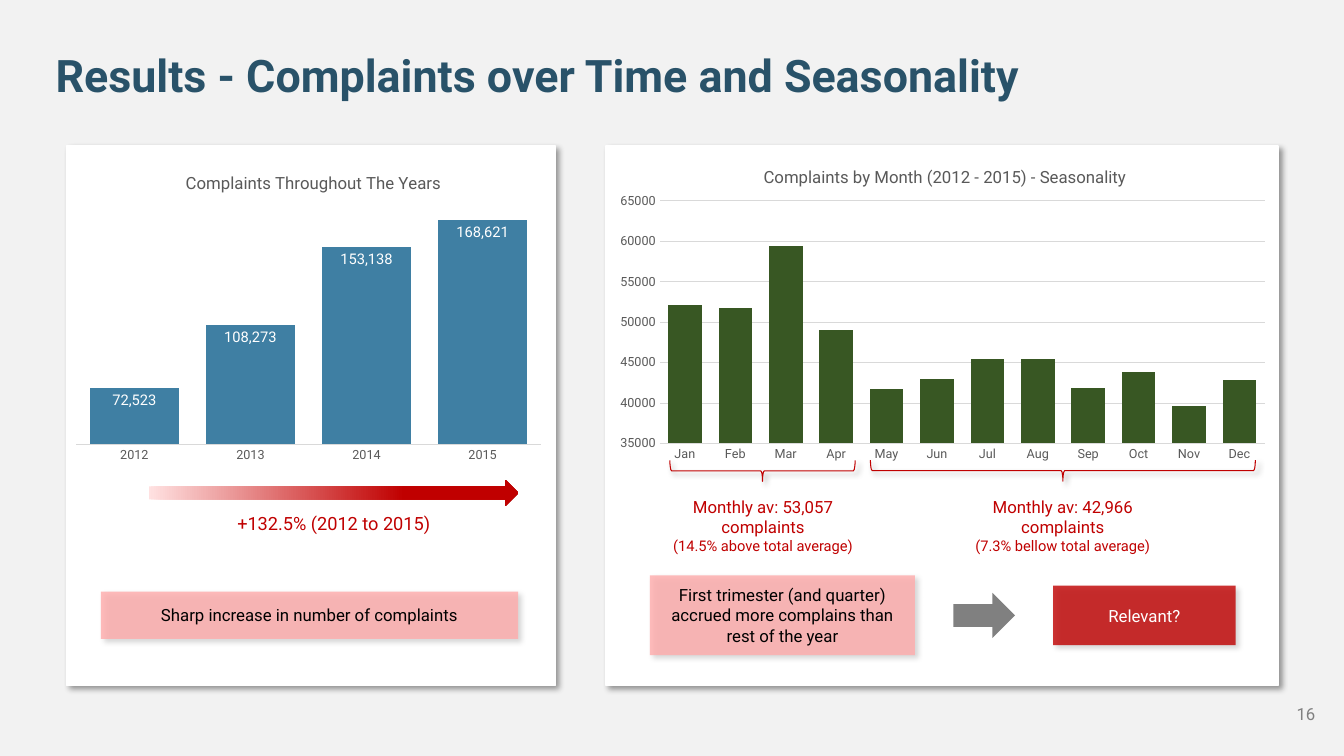
from lxml import etree
from pptx import Presentation
from pptx import util as u
from pptx.chart import data
from pptx.dml.color import RGBColor
from pptx.enum import chart as ch, shapes, text
from pptx.oxml import parse_xml
from pptx.oxml.ns import nsdecls, qn

FONT = "Roboto"
INK = {"page": "F2F2F2", "white": "FFFFFF", "black": "000000", "title": "295269",
       "blue": "3F7FA3", "green": "385723", "red": "C00000", "pink": "FFABAB",
       "pale": "FFE1E1", "gray": "808080", "axis": "595959", "grid": "D9D9D9"}
PANELS = [(15.27, 3.68, 16.94, 13.59), (1.68, 3.68, 12.32, 13.59)]
YEARS = {"title": "Complaints Throughout The Years", "at": (1.68, 3.84, 12.19, 8),
         "plot": (0.02, 0.15, 0.96, 0.77), "top": (0.24, 0.05),
         "low": 40000, "high": 180000, "gap": 30,
         "color": "blue", "labels": True,
         "vals": {"2012": 72523, "2013": 108273, "2014": 153138, "2015": 168621}}
MONTHS = {"title": "Complaints by Month (2012 - 2015) - Seasonality",
          "at": (15.27, 3.68, 16.94, 8.15),
          "plot": (0.08, 0.17, 0.9, 0.75), "top": (0.23, 0.05),
          "low": 35000, "high": 65000, "gap": 50,
          "color": "green", "labels": False,
          "vals": {"Jan": 52100, "Feb": 51700, "Mar": 59400, "Apr": 49000,
                   "May": 41700, "Jun": 43000, "Jul": 45400, "Aug": 45400,
                   "Sep": 41900, "Oct": 43800, "Nov": 39600, "Dec": 42900}}
TITLE = ("Results - Complaints over Time and Seasonality", 32)
NOTES = [((16.59, 12.34, 5.28, 1.83), (0.33, 0.18),
          [("Monthly av: 53,057 complaints", 12), ("(14.5% above total average)", 10.5)]),
         ((22.05, 12.34, 9.47, 1.83), (0.33, 0.18),
          [("Monthly av: 42,966", 12), ("complaints", 12),
           ("(7.3% bellow total average)", 10.5)]),
         ((3.76, 12.78, 9.3, 0.81), (0.25, 0.13), [("+132.5% (2012 to 2015)", 13)])]
BRACES = [(18.95, 9.53, 0.53, 4.67), (26.52, 7.01, 0.53, 9.7)]
BOXES = [((2.54, 14.91, 10.52, 1.19), "pink", "black", "Sharp increase in number of complaints"),
         ((16.38, 14.5, 6.68, 2.01), "pink", "black",
          "First trimester (and quarter) accrued more complains than rest of the year"),
         ((26.54, 14.76, 4.6, 1.5), "red", "white", "Relevant?")]
KIND = shapes.MSO_SHAPE
ALIGN = text.PP_ALIGN
ANCHOR = text.MSO_ANCHOR


def rgb(name):
    return RGBColor.from_string(INK[name])


def place(at):
    return [u.Cm(v) for v in at]


def paint(fill, name):
    fill.solid()
    fill.fore_color.rgb = rgb(name)


def style(font, size, name):
    font.name = FONT
    font.size = u.Pt(size)
    font.color.rgb = rgb(name)


def write(shape, lines, name, align=ALIGN.CENTER, anchor=ANCHOR.TOP, pad=(0.25, 0.13), bold=False):
    frame = shape.text_frame
    frame.word_wrap = True
    frame.vertical_anchor = anchor
    frame.margin_left = frame.margin_right = u.Cm(pad[0])
    frame.margin_top = frame.margin_bottom = u.Cm(pad[1])
    frame.text = "\n".join(line for line, size in lines)
    for para, (line, size) in zip(frame.paragraphs, lines):
        para.alignment = align
        style(para.runs[0].font, size, name)
        para.runs[0].font.bold = bold


def label(at, *args, **more):
    write(slide.shapes.add_textbox(*place(at)), *args, **more)


def draw(kind, at, fill=None, line=None, width=1, shade=0):
    shape = slide.shapes.add_shape(kind, *place(at))
    shape.shadow.inherit = False
    if fill:
        paint(shape.fill, fill)
    else:
        shape.fill.background()
    if line:
        shape.line.color.rgb = rgb(line)
        shape.line.width = u.Pt(width)
    else:
        shape.line.fill.background()
    if shade:
        glow = shape.element.spPr.find(qn("a:effectLst"))
        glow.append(parse_xml(
            f'<a:outerShdw {nsdecls("a")} blurRad="{u.Pt(4)}" dist="{u.Pt(3)}" dir="2700000" '
            f'algn="tl" rotWithShape="0"><a:srgbClr val="{INK["black"]}">'
            f'<a:alpha val="{shade * 1000}"/></a:srgbClr></a:outerShdw>'))
    return shape


def layout(parent, box, inner):
    old = parent.find(qn("c:layout"))
    if old is not None:
        parent.remove(old)
    rows = [("layoutTarget", "inner")] if inner else []
    rows += [("xMode", "edge"), ("yMode", "edge")] + list(zip("xywh", box))
    body = "".join(f'<c:{tag} val="{val}"/>' for tag, val in rows)
    node = parse_xml(f'<c:layout {nsdecls("c")}><c:manualLayout>{body}</c:manualLayout></c:layout>')
    if inner:
        parent.insert(0, node)
    else:
        parent.find(qn("c:tx")).addnext(node)


def plot(info):
    facts = data.CategoryChartData(number_format="#,##0" if info["labels"] else "General")
    facts.categories = list(info["vals"])
    facts.add_series("Complaints", list(info["vals"].values()))
    chart = slide.shapes.add_chart(ch.XL_CHART_TYPE.COLUMN_CLUSTERED, *place(info["at"]), facts).chart
    style(chart.font, 10, "black")
    chart.has_legend = False
    chart.has_title = True
    head = chart.chart_title.text_frame
    head.text = info["title"]
    style(head.paragraphs[0].runs[0].font, 12, "axis")
    head.paragraphs[0].runs[0].font.bold = False
    chart.chart_title.include_in_layout = False
    layout(chart.chart_title.element, info["top"], False)
    bars = chart.plots[0]
    bars.vary_by_categories = False
    bars.gap_width, bars.overlap = info["gap"], -27
    paint(bars.series[0].format.fill, info["color"])
    cats, vals = chart.category_axis, chart.value_axis
    for axis in (cats, vals):
        axis.major_tick_mark = axis.minor_tick_mark = ch.XL_TICK_MARK.NONE
        style(axis.tick_labels.font, 9, "axis")
    cats.format.line.color.rgb = rgb("grid")
    cats.format.line.width = u.Pt(0.75)
    vals.minimum_scale, vals.maximum_scale = info["low"], info["high"]
    vals.format.line.fill.background()
    if info["labels"]:
        vals.visible = vals.has_major_gridlines = False
        bars.has_data_labels = True
        tags = bars.data_labels
        tags.show_value = True
        tags.number_format, tags.number_format_is_linked = "#,##0", False
        tags.position = ch.XL_LABEL_POSITION.INSIDE_END
        style(tags.font, 10.5, "white")
    else:
        vals.major_unit = 5000
        vals.major_gridlines.format.line.color.rgb = rgb("grid")
        vals.major_gridlines.format.line.width = u.Pt(0.75)
    root = chart.element
    layout(root.find(".//" + qn("c:plotArea")), info["plot"], True)
    root.find(qn("c:txPr")).addprevious(parse_xml(
        f'<c:spPr {nsdecls("c", "a")}><a:solidFill><a:srgbClr val="{INK["white"]}"/></a:solidFill>'
        '<a:ln><a:noFill/></a:ln></c:spPr>'))


deck = Presentation()
deck.slide_width, deck.slide_height = u.Cm(33.87), u.Cm(19.05)
slide = deck.slides.add_slide(deck.slide_layouts[6])
paint(slide.background.fill, "page")

for at in PANELS:
    draw(KIND.RECTANGLE, at, "white", "white", shade=40)
label((1.07, 0.58, 31.72, 2.31), [TITLE], "title", ALIGN.LEFT, ANCHOR.BOTTOM, (0.33, 0.33), True)
for info in (YEARS, MONTHS):
    plot(info)
for at, pad, lines in NOTES:
    label(at, lines, "red", pad=pad)
for at in BRACES:
    brace = draw(KIND.RIGHT_BRACE, at, line="red", width=0.75, shade=40)
    brace.rotation = 90

trend = draw(KIND.RIGHT_ARROW, (3.76, 12.09, 9.3, 0.66))
trend.fill.gradient()
trend.fill.gradient_angle = 0
for stop, (spot, name) in zip(trend.fill.gradient_stops, [(0, "pale"), (0.69, "red")]):
    stop.position = spot
    stop.color.rgb = rgb(name)

for at, fill, ink, words in BOXES:
    box = draw(KIND.RECTANGLE, at, fill, shade=20)
    tint = box.element.spPr.find(qn("a:solidFill"))[0]
    etree.SubElement(tint, qn("a:alpha")).set("val", "80000")
    write(box, [(words, 12)], ink, anchor=ANCHOR.MIDDLE)
draw(KIND.RIGHT_ARROW, (24.03, 14.94, 1.55, 1.14), "gray")
label((31.37, 17.27, 2.03, 1.45), [("16", 12)], "gray", ALIGN.RIGHT, ANCHOR.MIDDLE, (0.25, 0.25))

deck.save("out.pptx")
